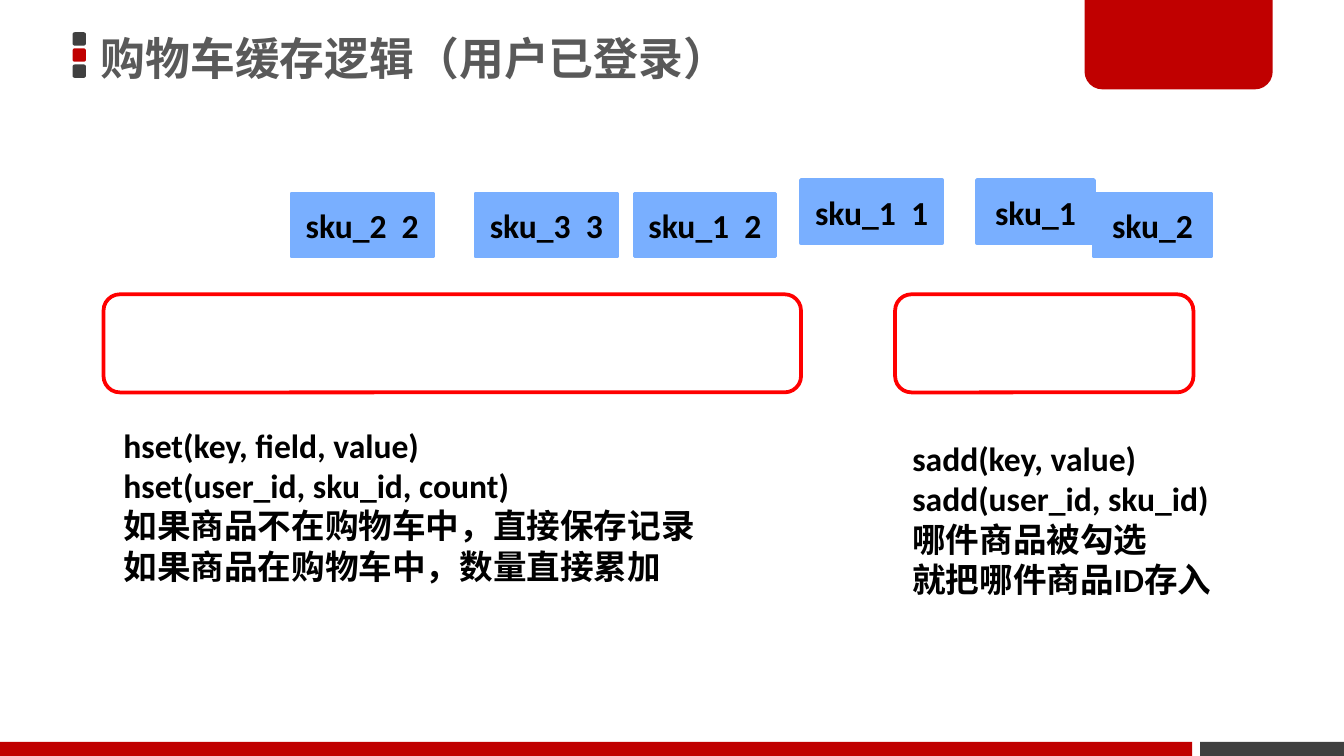
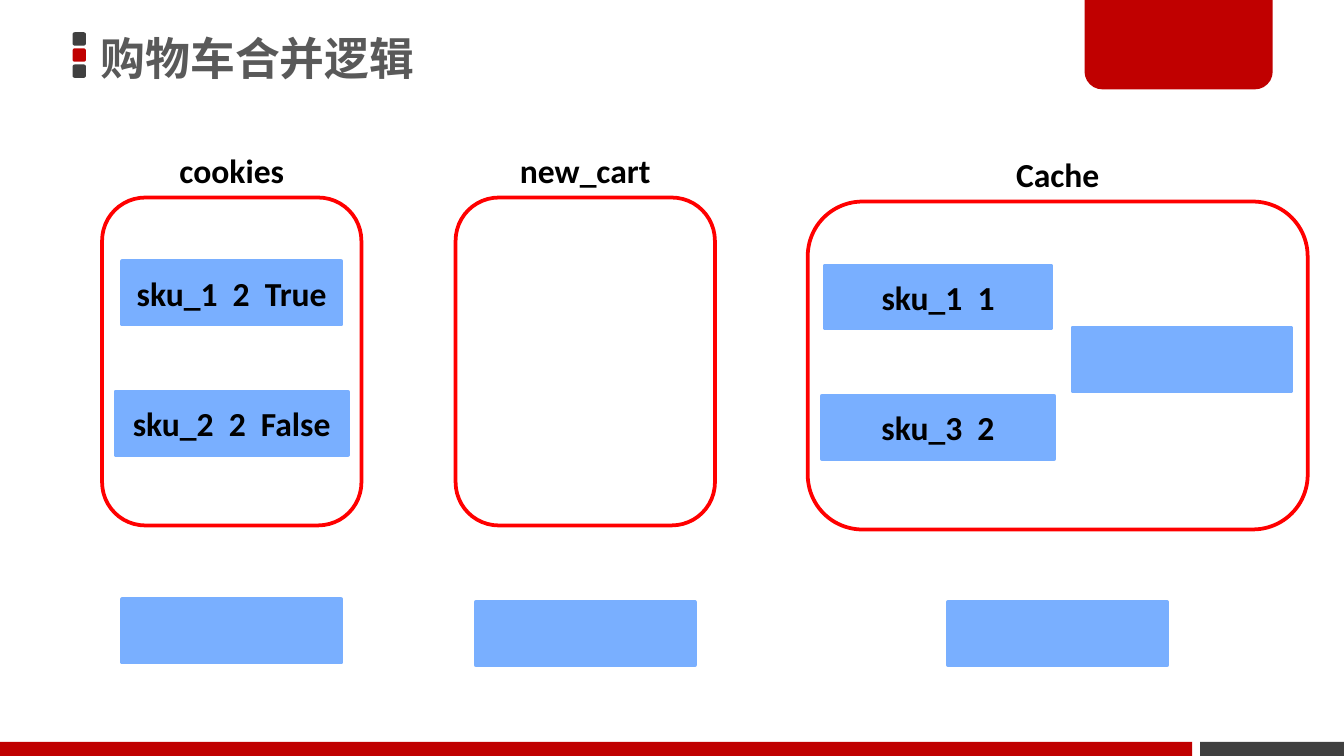
from lxml import etree
from pptx import Presentation
from pptx import util as u
from pptx.dml.color import RGBColor
from pptx.enum import shapes, text
from pptx.oxml.ns import qn

# Square grid: 100 columns by 56.25 rows
COLS, ROWS = 100, 56.25
CELL = u.Inches(10) // COLS

RED, DARK, GREY = "C00000", "404040", "595959"
BLUE, OUTLINE, WHITE, BLACK = "79AFFF", "FF0000", "FFFFFF", "000000"
BODY, CJK = "Calibri", "Noto Sans CJK SC"
RECT = shapes.MSO_SHAPE.RECTANGLE
ROUND = shapes.MSO_SHAPE.ROUNDED_RECTANGLE
TAB = shapes.MSO_SHAPE.ROUND_2_SAME_RECTANGLE
CHIP_H = 4.7
LABEL_H = 4


def rgb(value):
    return RGBColor.from_string(value)


def grid(*cells):
    return [int(c * CELL) for c in cells]


def style(p, size=18, font=BODY, color=BLACK, align=None):
    p.alignment = align
    p.font.size, p.font.bold, p.font.name = u.Pt(size), True, font
    p.font.color.rgb = rgb(color)
    # East Asian typeface follows the Latin one
    def_rpr = p._p.get_or_add_pPr().get_or_add_defRPr()
    etree.SubElement(def_rpr, qn("a:ea")).set("typeface", CJK)


def shape(s, kind, box, fill, line=None):
    sp = s.shapes.add_shape(kind, *grid(*box))
    sp.shadow.inherit = False
    sp.fill.solid()
    sp.fill.fore_color.rgb = rgb(fill)
    if line:
        sp.line.color.rgb = rgb(line)
        sp.line.width = u.Pt(2)
    else:
        sp.line.fill.background()
    return sp


def panel(s, *box):
    shape(s, ROUND, box, WHITE, OUTLINE)


def chip(s, left, top, width, words=""):
    sp = shape(s, RECT, (left, top, width, CHIP_H), BLUE, BLUE)
    if words:
        tf = sp.text_frame
        tf.vertical_anchor = text.MSO_ANCHOR.MIDDLE
        tf.word_wrap = False
        tf.text = words
        style(tf.paragraphs[0], align=text.PP_ALIGN.CENTER)


def text_box(s, box, lines, align=None):
    tf = s.shapes.add_textbox(*grid(*box)).text_frame
    tf.word_wrap = False
    tf.text = "\n".join(lines)
    for p in tf.paragraphs:
        style(p, align=align)


def title(s, words):
    tf = s.shapes.add_textbox(*grid(6.7, 0.1, 50.2, 8.9)).text_frame
    tf.word_wrap = True
    tf.vertical_anchor = text.MSO_ANCHOR.MIDDLE
    tf.margin_left = tf.margin_right = u.Inches(0.08)
    tf.margin_top = tf.margin_bottom = u.Inches(0.04)
    tf.text = words
    p = tf.paragraphs[0]
    style(p, 24, CJK, GREY)
    p.line_spacing = 0.9


def new_slide(prs, heading):
    s = prs.slides.add_slide(prs.slide_layouts[6])
    # Three dots beside the title
    for i, color in enumerate((DARK, RED, DARK)):
        shape(s, ROUND, (5.4, 2.4 + 1.2 * i, 1, 1), color)
    # Corner tab with rounded lower corners
    tab = shape(s, TAB, (80.7, 0, 14, 6.65), RED)
    tab.adjustments[0], tab.adjustments[1] = 0, 0.2
    # Footer band
    shape(s, RECT, (89.3, 55.2, 10.7, 1.05), DARK)
    shape(s, RECT, (0, 55.2, 88.7, 1.05), RED)
    title(s, heading)
    return s


def cache_slide(prs):
    s = new_slide(prs, "购物车缓存逻辑（用户已登录）")
    panel(s, 7.7, 21.9, 51.9, 7.3)
    panel(s, 66.6, 21.9, 22.2, 7.3)
    # Hash records, then set members
    high, low = 13.4, 14.4
    pair, single = 10.5, 8.7
    for left, top, width, words in (
        (59.6, high, pair, "sku_1  1"),
        (21.7, low, pair, "sku_2  2"),
        (35.4, low, pair, "sku_3  3"),
        (47.2, low, pair, "sku_1  2"),
        (72.7, high, single, "sku_1"),
        (81.4, low, single, "sku_2"),
    ):
        chip(s, left, top, width, words)
    # Commands and rules
    text_box(s, (8.2, 31.1, 44.5, 13), (
        "hset(key, field, value)",
        "hset(user_id, sku_id, count)",
        "如果商品不在购物车中，直接保存记录",
        "如果商品在购物车中，数量直接累加",
    ))
    text_box(s, (66.9, 32.1, 25.4, 13), (
        "sadd(key, value)",
        "sadd(user_id, sku_id)",
        "哪件商品被勾选",
        "就把哪件商品ID存入",
    ))


def store(s, name, left, top, width, records, blank_top):
    """A named panel, its centred records and a blank chip below."""
    panel(s, left, top, width, 24.4)
    text_box(s, (left, top - LABEL_H, width, LABEL_H), [name],
             text.PP_ALIGN.CENTER)
    for i, (center, chip_width, words) in enumerate(records):
        chip(s, center - chip_width / 2, top + 4.75 + 9.7 * i,
             chip_width, words)
    chip(s, left + (width - 16.3) / 2, blank_top, 16.3)


def merge_slide(prs):
    s = new_slide(prs, "购物车合并逻辑")
    store(s, "cookies", 7.6, 14.7, 19.3,
          ((17.25, 16.3, "sku_1  2  True"),
           (17.25, 17.3, "sku_2  2  False")), 44.6)
    store(s, "new_cart", 33.9, 14.7, 19.3, (), 44.8)
    store(s, "Cache", 60.1, 15, 37.2,
          ((69.8, 16.8, "sku_1  1"),
           (69.8, 17.3, "sku_3  2")), 44.8)
    chip(s, 79.8, 24.4, 16.3)


def main():
    prs = Presentation()
    prs.slide_width, prs.slide_height = grid(COLS, ROWS)
    cache_slide(prs)
    merge_slide(prs)
    prs.save("out.pptx")


if __name__ == "__main__":
    main()
